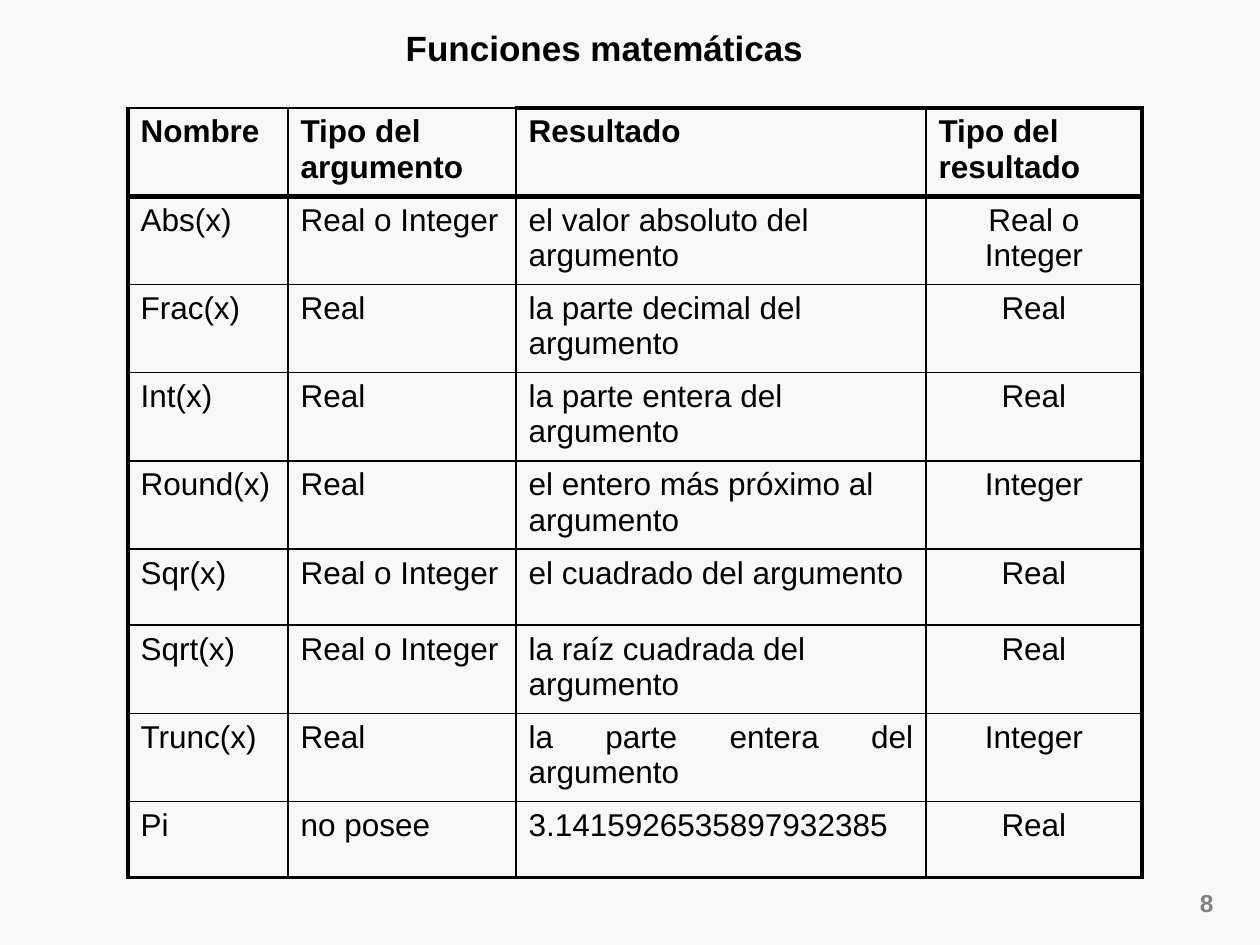
"""Slide listing the mathematical functions with their argument and result types."""
from dataclasses import dataclass

from lxml import etree
from pptx import Presentation
from pptx.dml.color import RGBColor
from pptx.enum.text import PP_ALIGN
from pptx.oxml.ns import qn
from pptx.util import Emu, Pt

PX = 914400 // 126
LEFT, CENTER, RIGHT, JUSTIFY = PP_ALIGN.LEFT, PP_ALIGN.CENTER, PP_ALIGN.RIGHT, PP_ALIGN.JUSTIFY
FONT, BLACK, GREY, PAPER = "Arial", "000000", "808080", "F8F8F8"
THIN, OUTER, HEADER_RULE = 1, 2.25, 3
COLUMN_WIDTHS = [160, 228, 410, 216]
TALL_ROW, SHORT_ROW = 88, 76
TABLE_LEFT, TABLE_TOP = 128, 108


@dataclass(frozen=True)
class MathFunction:
    name: str
    argument: str
    result: str
    result_type: str
    height: int = TALL_ROW
    result_align: PP_ALIGN = LEFT


HEADINGS = ["Nombre", "Tipo del argumento", "Resultado", "Tipo del resultado"]
FUNCTIONS = [
    MathFunction("Abs(x)", "Real o Integer", "el valor absoluto del argumento", "Real o Integer"),
    MathFunction("Frac(x)", "Real", "la parte decimal del argumento", "Real"),
    MathFunction("Int(x)", "Real", "la parte entera del argumento", "Real"),
    MathFunction("Round(x)", "Real", "el entero más próximo al argumento", "Integer"),
    MathFunction("Sqr(x)", "Real o Integer", "el cuadrado del argumento", "Real", SHORT_ROW, JUSTIFY),
    MathFunction("Sqrt(x)", "Real o Integer", "la raíz cuadrada del argumento", "Real"),
    MathFunction("Trunc(x)", "Real", "la parte entera del argumento", "Integer", TALL_ROW, JUSTIFY),
    MathFunction("Pi", "no posee", "3.1415926535897932385", "Real", SHORT_ROW, JUSTIFY),
]


def px(length: int) -> Emu:
    """Turn whole pixels into EMU."""
    return Emu(length * PX)


def color(value: str) -> RGBColor:
    """Turn a hex string into a colour."""
    return RGBColor.from_string(value)


def write(frame, text: str, size: int, align: PP_ALIGN, bold: bool = False, ink: str = BLACK) -> None:
    """Write one run into the first paragraph of a text frame."""
    frame.word_wrap = True
    paragraph = frame.paragraphs[0]
    paragraph.alignment = align
    run = paragraph.add_run()
    run.text = text
    run.font.name = FONT
    run.font.size = Pt(size)
    run.font.bold = bold
    run.font.color.rgb = color(ink)


def add_label(slide, box: tuple[int, int, int, int], text: str, size: int, align: PP_ALIGN, ink: str) -> None:
    """Add a bold text box."""
    label = slide.shapes.add_textbox(*map(px, box))
    write(label.text_frame, text, size, align, True, ink)


def set_borders(cell, widths: dict[str, float]) -> None:
    """Draw solid black cell borders, given in the order L, R, T, B."""
    properties = cell._tc.get_or_add_tcPr()
    for side, width in widths.items():
        line = etree.SubElement(properties, qn(f"a:ln{side}"), w=str(Pt(width)))
        fill = etree.SubElement(line, qn("a:solidFill"))
        etree.SubElement(fill, qn("a:srgbClr"), val=BLACK)


def border_widths(row: int, column: int) -> dict[str, float]:
    """Give the border widths of a cell from its place in the table."""
    last_row, last_column = len(FUNCTIONS), len(COLUMN_WIDTHS) - 1
    top_edge = OUTER if column >= 2 else THIN
    return {
        "L": OUTER if column == 0 else THIN,
        "R": OUTER if column == last_column else THIN,
        "T": {0: top_edge, 1: HEADER_RULE}.get(row, THIN),
        "B": {0: HEADER_RULE, last_row: OUTER}.get(row, THIN),
    }


def add_function_table(slide) -> None:
    """Add the table of functions under its heading row."""
    heights = [TALL_ROW] + [function.height for function in FUNCTIONS]
    size = px(sum(COLUMN_WIDTHS)), px(sum(heights))
    table = slide.shapes.add_table(
        len(heights), len(COLUMN_WIDTHS), px(TABLE_LEFT), px(TABLE_TOP), *size
    ).table
    table.first_row = table.horz_banding = False
    for column, width in zip(table.columns, COLUMN_WIDTHS):
        column.width = px(width)
    for row, height in zip(table.rows, heights):
        row.height = px(height)

    contents = [[(heading, LEFT) for heading in HEADINGS]]
    for function in FUNCTIONS:
        contents.append([
            (function.name, JUSTIFY),
            (function.argument, JUSTIFY),
            (function.result, function.result_align),
            (function.result_type, CENTER),
        ])
    for row, entries in enumerate(contents):
        for column, (text, align) in enumerate(entries):
            cell = table.cell(row, column)
            set_borders(cell, border_widths(row, column))
            cell.fill.background()
            write(cell.text_frame, text, 18, align, row == 0)


def main() -> None:
    """Build and save the slide."""
    presentation = Presentation()
    presentation.slide_width, presentation.slide_height = px(1260), px(945)
    slide = presentation.slides.add_slide(presentation.slide_layouts[6])
    slide.background.fill.solid()
    slide.background.fill.fore_color.rgb = color(PAPER)
    add_label(slide, (1144, 882, 82, 42), "8", 14, RIGHT, GREY)
    add_function_table(slide)
    add_label(slide, (137, 20, 935, 54), "Funciones matemáticas", 20, CENTER, BLACK)
    presentation.save("out.pptx")


if __name__ == "__main__":
    main()
